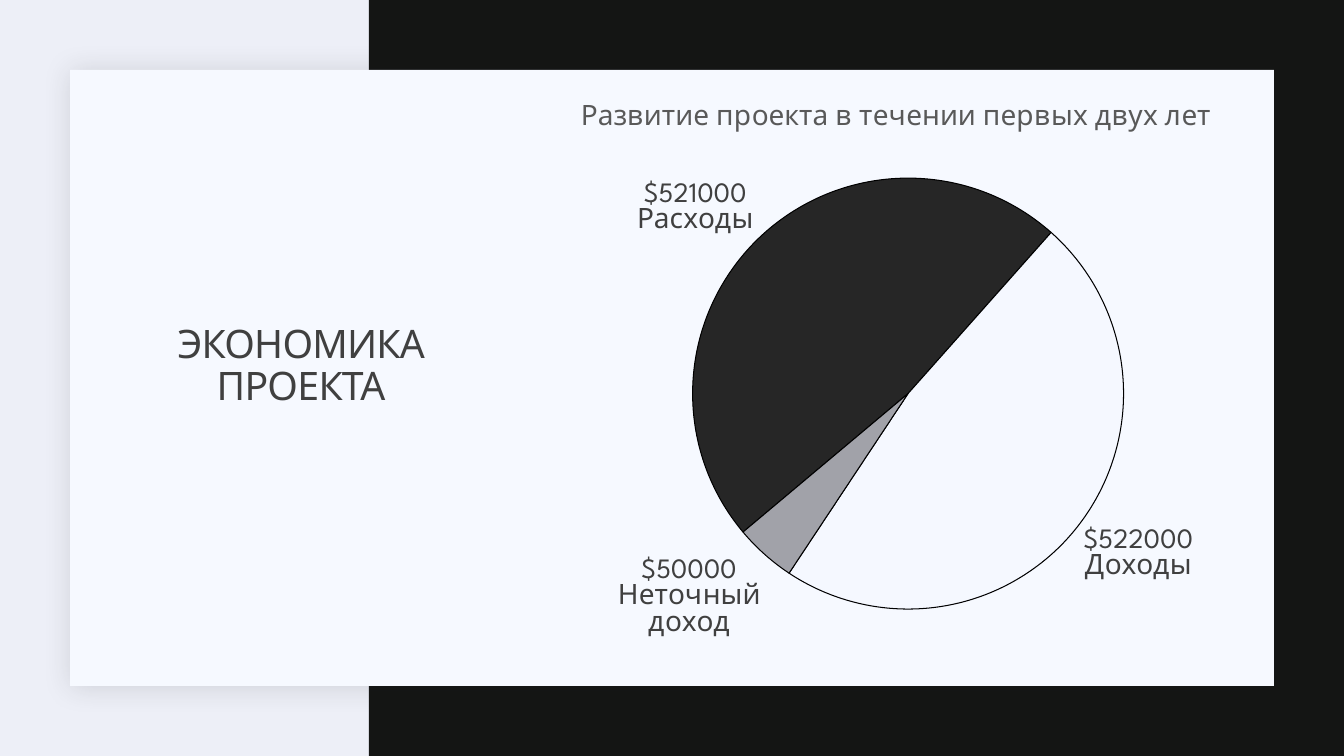
"""Builds the project economics slide with a labelled pie chart."""
from dataclasses import dataclass

from lxml.etree import SubElement
from pptx import Presentation
from pptx.chart.data import CategoryChartData
from pptx.dml.color import RGBColor
from pptx.enum.chart import XL_CHART_TYPE, XL_LABEL_POSITION
from pptx.enum.shapes import MSO_SHAPE
from pptx.enum.text import MSO_ANCHOR, MSO_AUTO_SIZE, PP_ALIGN
from pptx.oxml.ns import qn
from pptx.util import Emu, Pt


@dataclass(frozen=True)
class Theme:
    font: str = "League Spartan"
    background: str = "EDEFF7"
    panel: str = "141514"
    card: str = "F6F9FF"
    shadow: str = "1F2125"
    text: str = "404040"
    caption: str = "595959"
    outline: str = "000000"
    title_size: int = 28
    chart_size: int = 20
    outline_width: float = 0.75


@dataclass(frozen=True)
class Slice:
    value: int
    label: str
    color: str


CHART_TITLE = "Развитие проекта в течении первых двух лет"
SLICES = [
    Slice(521000, "Расходы", "262626"),
    Slice(522000, "Доходы", "F5F8FF"),
    Slice(50000, "Неточный доход", "A1A2A9"),
]


def px(length):
    return Emu(round(length * 12192000 / 1344))


class SlideBuilder:
    def __init__(self, deck, theme):
        self.theme = theme
        self.page = deck.slides.add_slide(deck.slide_layouts[5])
        fill = self.page.background.fill
        fill.solid()
        fill.fore_color.rgb = RGBColor.from_string(theme.background)

    def style(self, font, size, color):
        font.name = self.theme.font
        font.size = Pt(size)
        font.bold = False
        font.color.rgb = RGBColor.from_string(color)

    def add_span(self, para, text, size, color):
        span = para.add_run()
        span.text = text
        self.style(span.font, size, color)
        return span

    def add_panel(self, left, top, width, height, color):
        panel = self.page.shapes.add_shape(
            MSO_SHAPE.RECTANGLE, px(left), px(top), px(width), px(height))
        panel.shadow.inherit = False
        panel.fill.solid()
        panel.fill.fore_color.rgb = RGBColor.from_string(color)
        panel.line.fill.background()
        return panel

    def add_shadow(self, panel, blur, distance, angle, opacity):
        effects = panel._element.spPr.find(qn("a:effectLst"))
        shadow = SubElement(
            effects, qn("a:outerShdw"), blurRad=str(Pt(blur)), dist=str(Pt(distance)),
            dir=str(angle * 60000), algn="ctr", rotWithShape="0")
        color = SubElement(shadow, qn("a:srgbClr"), val=self.theme.shadow)
        SubElement(color, qn("a:alpha"), val=str(opacity * 1000))

    def set_title(self, text, left, top, width, height):
        box = self.page.shapes.title
        box.left, box.top, box.width, box.height = map(px, (left, top, width, height))
        self.page.shapes._spTree.append(box._element)
        frame = box.text_frame
        frame.word_wrap = True
        frame.auto_size = MSO_AUTO_SIZE.NONE
        frame.vertical_anchor = MSO_ANCHOR.MIDDLE
        para = frame.paragraphs[0]
        para.alignment = PP_ALIGN.CENTER
        para.line_spacing = 0.9
        span = self.add_span(para, text, self.theme.title_size, self.theme.text)
        span.font._element.set("spc", "-50")

    def add_pie(self, title, slices, left, top, width, height, pie, start_angle):
        theme = self.theme
        data = CategoryChartData()
        data.categories = [str(number) for number in range(1, len(slices) + 1)]
        data.add_series(title, [part.value for part in slices])
        chart = self.page.shapes.add_chart(
            XL_CHART_TYPE.PIE, px(left), px(top), px(width), px(height), data).chart
        chart.has_legend = False
        self.style(chart.font, 10, theme.outline)
        chart.has_title = True
        heading = chart.chart_title.text_frame.paragraphs[0]
        self.add_span(heading, title, theme.chart_size, theme.caption)

        plot = chart.plots[0]
        plot.vary_by_categories = True
        SubElement(plot._element, qn("c:firstSliceAng"), val=str(start_angle))
        series = plot.series[0]
        labels = series.data_labels
        labels.show_value = True
        labels.position = XL_LABEL_POSITION.OUTSIDE_END
        self.style(labels.font, theme.chart_size, theme.text)
        for index, part in enumerate(slices):
            self.format_slice(series.points[index], part)

        pie_left, pie_top, diameter = pie
        self.place_plot(chart, (pie_left - left) / width, (pie_top - top) / height,
                        diameter / width, diameter / height)

    def format_slice(self, point, part):
        theme = self.theme
        point.format.fill.solid()
        point.format.fill.fore_color.rgb = RGBColor.from_string(part.color)
        point.format.line.color.rgb = RGBColor.from_string(theme.outline)
        point.format.line.width = Pt(theme.outline_width)
        frame = point.data_label.text_frame
        self.add_span(frame.paragraphs[0], f"${part.value}", theme.chart_size, theme.text)
        self.add_span(frame.add_paragraph(), part.label, theme.chart_size, theme.text)
        point.data_label.position = XL_LABEL_POSITION.OUTSIDE_END

    def place_plot(self, chart, left, top, width, height):
        area = chart._chartSpace.find(".//" + qn("c:plotArea"))
        layout = area.find(qn("c:layout"))
        if layout is None:
            layout = SubElement(area, qn("c:layout"))
            area.insert(0, layout)
        manual = SubElement(layout, qn("c:manualLayout"))
        settings = {
            "layoutTarget": "inner", "xMode": "edge", "yMode": "edge",
            "x": round(left, 3), "y": round(top, 3),
            "w": round(width, 3), "h": round(height, 3),
        }
        for name, value in settings.items():
            SubElement(manual, qn(f"c:{name}"), val=str(value))


def main():
    theme = Theme()
    deck = Presentation()
    deck.slide_width, deck.slide_height = px(1344), px(756)
    builder = SlideBuilder(deck, theme)
    builder.add_panel(369, 0, 975, 756, theme.panel)
    card = builder.add_panel(70, 70, 1204, 616, theme.card)
    builder.add_shadow(card, blur=20, distance=2, angle=45, opacity=15)
    builder.set_title("ЭКОНОМИКА ПРОЕКТА", 122, 296, 358, 142)
    builder.add_pie(CHART_TITLE, SLICES, 448, 80, 896, 598,
                    pie=(693, 178, 431), start_angle=230)
    deck.save("out.pptx")


if __name__ == "__main__":
    main()
